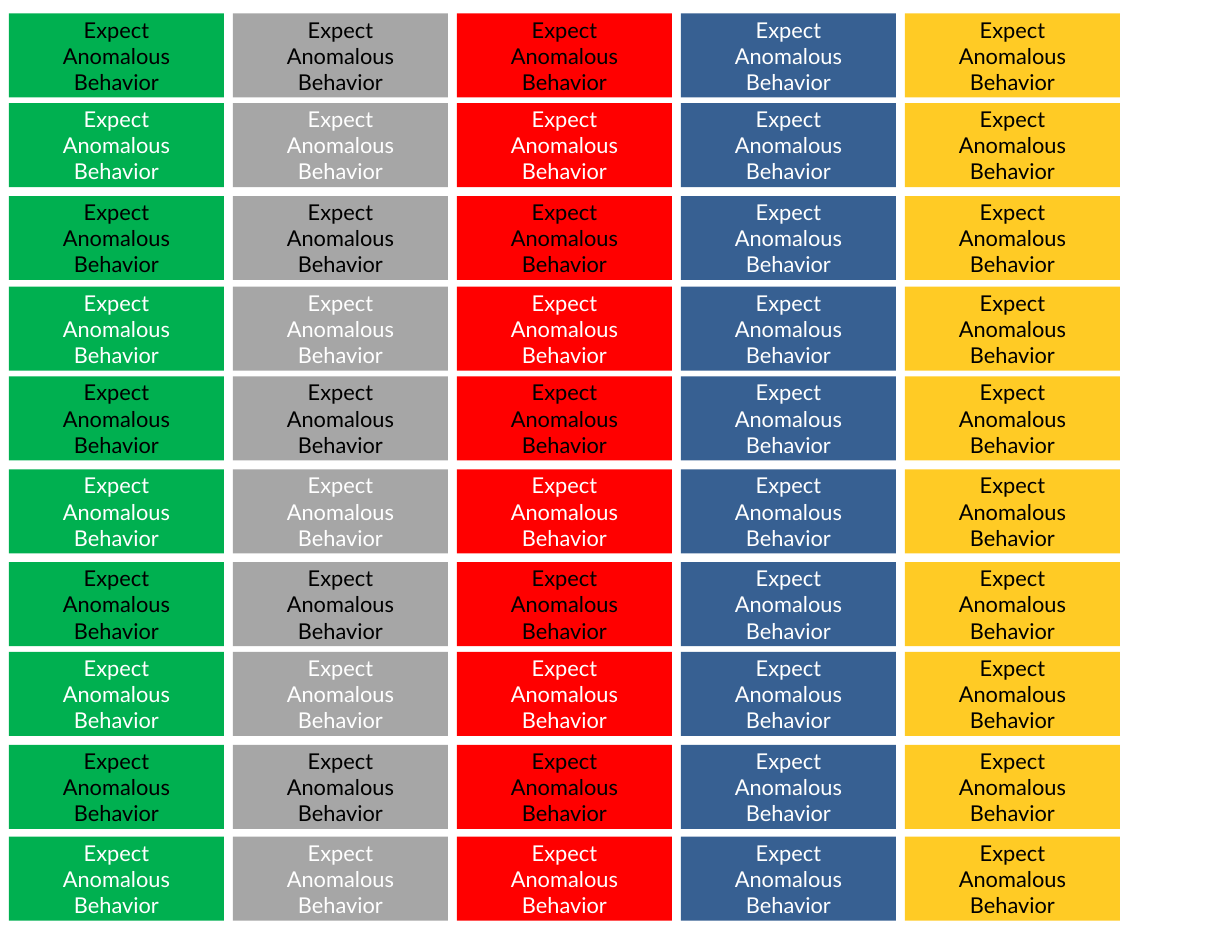
"""Build a sheet of coloured warning labels, five columns by ten rows."""
from pptx import Presentation
from pptx.dml.color import RGBColor
from pptx.enum.shapes import MSO_SHAPE
from pptx.enum.text import MSO_ANCHOR, PP_ALIGN
from pptx.util import Inches, Pt


def rgb(value):
    return RGBColor.from_string(value)


BLACK, WHITE = "000000", "FFFFFF"
LEFT, PITCH = 0.08, 2
LABEL_W, LABEL_H = 1.92, 0.75
ROW_TOPS = [0.12, 0.92, 1.75, 2.56, 3.36, 4.19, 5.02, 5.82, 6.65, 7.47]
COLUMNS = [
    ("00B050", (BLACK, WHITE)),
    ("A6A6A6", (BLACK, WHITE)),
    ("FF0000", (BLACK, WHITE)),
    ("376092", (WHITE, WHITE)),
    ("FFCB25", (BLACK, BLACK)),
]

prs = Presentation()
prs.slide_width, prs.slide_height = Inches(11), Inches(8.5)
s = prs.slides.add_slide(prs.slide_layouts[6])

for col, (fill, inks) in enumerate(COLUMNS):
    for row, top in enumerate(ROW_TOPS):
        sp = s.shapes.add_shape(
            MSO_SHAPE.RECTANGLE, Inches(LEFT + col * PITCH), Inches(top),
            Inches(LABEL_W), Inches(LABEL_H))
        sp.shadow.inherit = False
        sp.fill.solid()
        sp.fill.fore_color.rgb = rgb(fill)
        sp.line.fill.background()
        tf = sp.text_frame
        tf.word_wrap = True
        tf.vertical_anchor = MSO_ANCHOR.MIDDLE
        tf.text = "Expect\nAnomalous Behavior"
        for p in tf.paragraphs:
            p.alignment = PP_ALIGN.CENTER
            p.font.name, p.font.size = "Lato", Pt(14)
            p.font.color.rgb = rgb(inks[row % 2])

prs.save("out.pptx")
